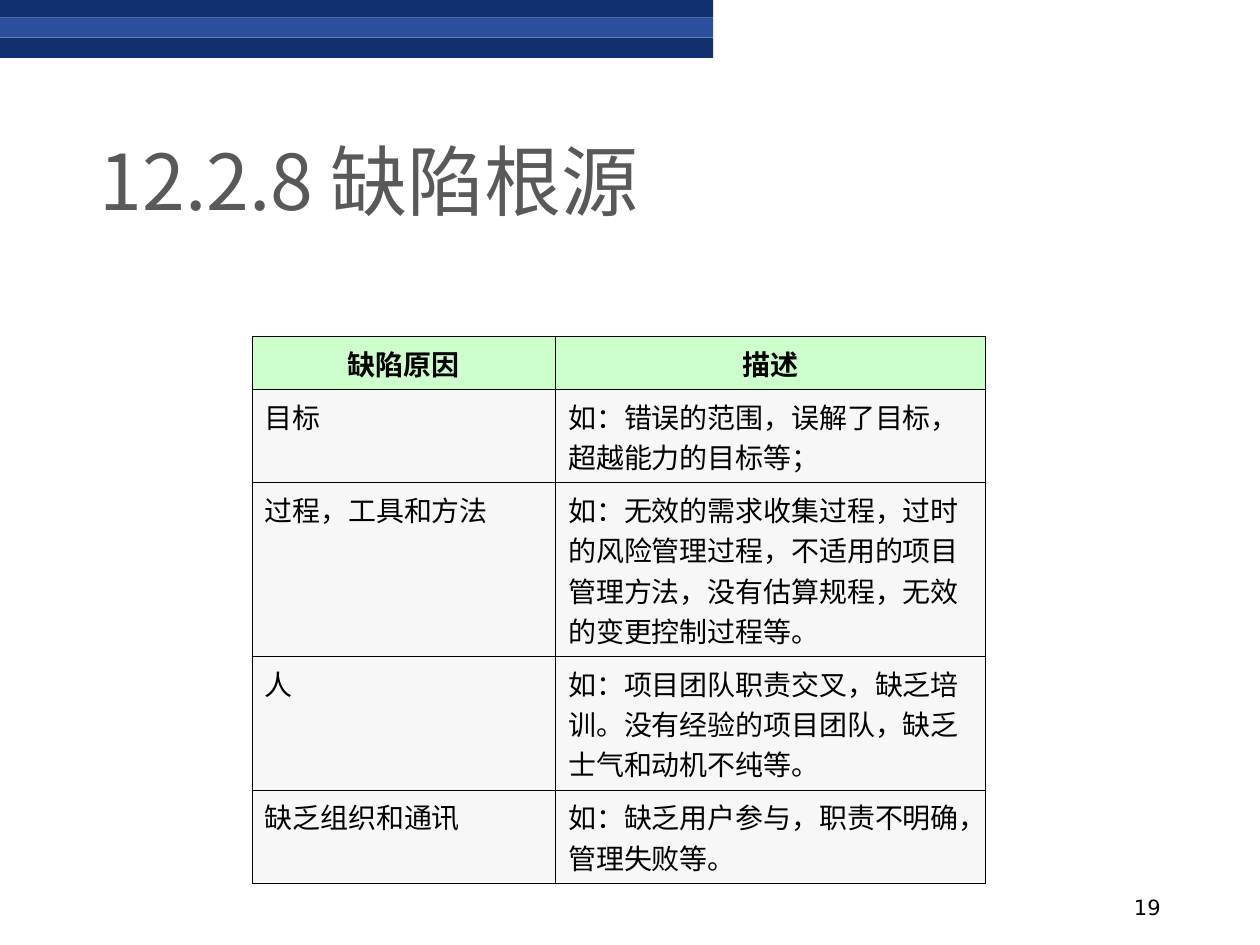
from lxml.etree import SubElement
from pptx import Presentation
from pptx.dml.color import RGBColor
from pptx.enum.shapes import MSO_SHAPE
from pptx.enum.text import MSO_ANCHOR, MSO_AUTO_SIZE, PP_ALIGN
from pptx.oxml.ns import qn
from pptx.util import Inches, Pt

hue = RGBColor.from_string
SANS = "Noto Sans CJK SC"

deck = Presentation()
deck.slide_width, deck.slide_height = Inches(10), Inches(7.5)
wide, high = deck.slide_width, deck.slide_height
slide = deck.slides.add_slide(deck.slide_layouts[6 - 1])


def write(frame, text, size=16, face=SANS, color="000000", bold=False,
          align=PP_ALIGN.LEFT, line=None):
    para = frame.paragraphs[0]
    para.alignment, para.line_spacing = align, line
    run = para.add_run()
    run.text = text
    font = run.font
    font.size, font.bold, font.name = Pt(size), bold, face
    font.color.rgb = hue(color)
    SubElement(run._r.get_or_add_rPr(), qn("a:ea"), typeface=SANS)


def place(shape, left, top, width, height):
    """Set the frame as shares of the slide."""
    shape.left, shape.top = int(left * wide), int(top * high)
    shape.width, shape.height = int(width * wide), int(height * high)


# Top band: three stripes
edges = [0, 0.14, 0.3, 0.46]
for top, end, color in zip(edges, edges[1:], ["123070", "2B4F9D", "123070"]):
    bar = slide.shapes.add_shape(MSO_SHAPE.RECTANGLE, 0, 0, 0, 0)
    place(bar, 0, top / 7.5, 0.566, (end - top) / 7.5)
    bar.shadow.inherit = False
    bar.fill.solid()
    bar.fill.fore_color.rgb = hue(color)
    bar.line.fill.background()

# Title
title = slide.shapes.title
place(title, 0.069, 0.4 / 7.5, 0.863, 1.45 / 7.5)
title.text_frame.auto_size = MSO_AUTO_SIZE.NONE
title.text_frame.vertical_anchor = MSO_ANCHOR.BOTTOM
write(title.text_frame, "12.2.8 缺陷根源", size=44, color="595959", line=0.9)

# Table of causes
rows = [
    ("缺陷原因", "描述"),
    ("目标", "如：错误的范围，误解了目标，超越能力的目标等；"),
    ("过程，工具和方法", "如：无效的需求收集过程，过时的风险管理过程，不适用的项目管理方法，"
     "没有估算规程，无效的变更控制过程等。"),
    ("人", "如：项目团队职责交叉，缺乏培训。没有经验的项目团队，缺乏士气和动机不纯等。"),
    ("缺乏组织和通讯", "如：缺乏用户参与，职责不明确，管理失败等。"),
]
frame = slide.shapes.add_table(len(rows), 2, 0, 0, 0, 0)
place(frame, 0.2, 2.67 / 7.5, 0.582, 3.7 / 7.5)
table = frame.table
for col, share in zip(table.columns, [0.241, 0.341]):
    col.width = int(share * wide)
for row, tall in zip(table.rows, [0.37, 0.63, 1.17, 0.9, 0.63]):
    row.height = Inches(tall)

for r, texts in enumerate(rows):
    head = r == 0
    for c, text in enumerate(texts):
        cell = table.cell(r, c)
        write(cell.text_frame, text, face="Times New Roman", bold=head,
              align=PP_ALIGN.CENTER if head else PP_ALIGN.LEFT)
        # Borders come before the fill in the cell's XML
        props = cell._tc.get_or_add_tcPr()
        for side in ("lnL", "lnR", "lnT", "lnB"):
            edge = SubElement(props, qn("a:" + side), w=str(Pt(0.45)))
            paint = SubElement(edge, qn("a:solidFill"))
            SubElement(paint, qn("a:srgbClr"), val="000000")
        cell.fill.solid()
        cell.fill.fore_color.rgb = hue("CCFFCC" if head else "F7F7F7")

# Page number
page = slide.shapes.add_textbox(0, 0, 0, 0)
place(page, 0.706, 6.95 / 7.5, 0.225, 0.4 / 7.5)
page.text_frame.word_wrap = True
page.text_frame.vertical_anchor = MSO_ANCHOR.BOTTOM
write(page.text_frame, "19", size=12, face="DejaVu Sans", align=PP_ALIGN.RIGHT)

deck.save("out.pptx")
